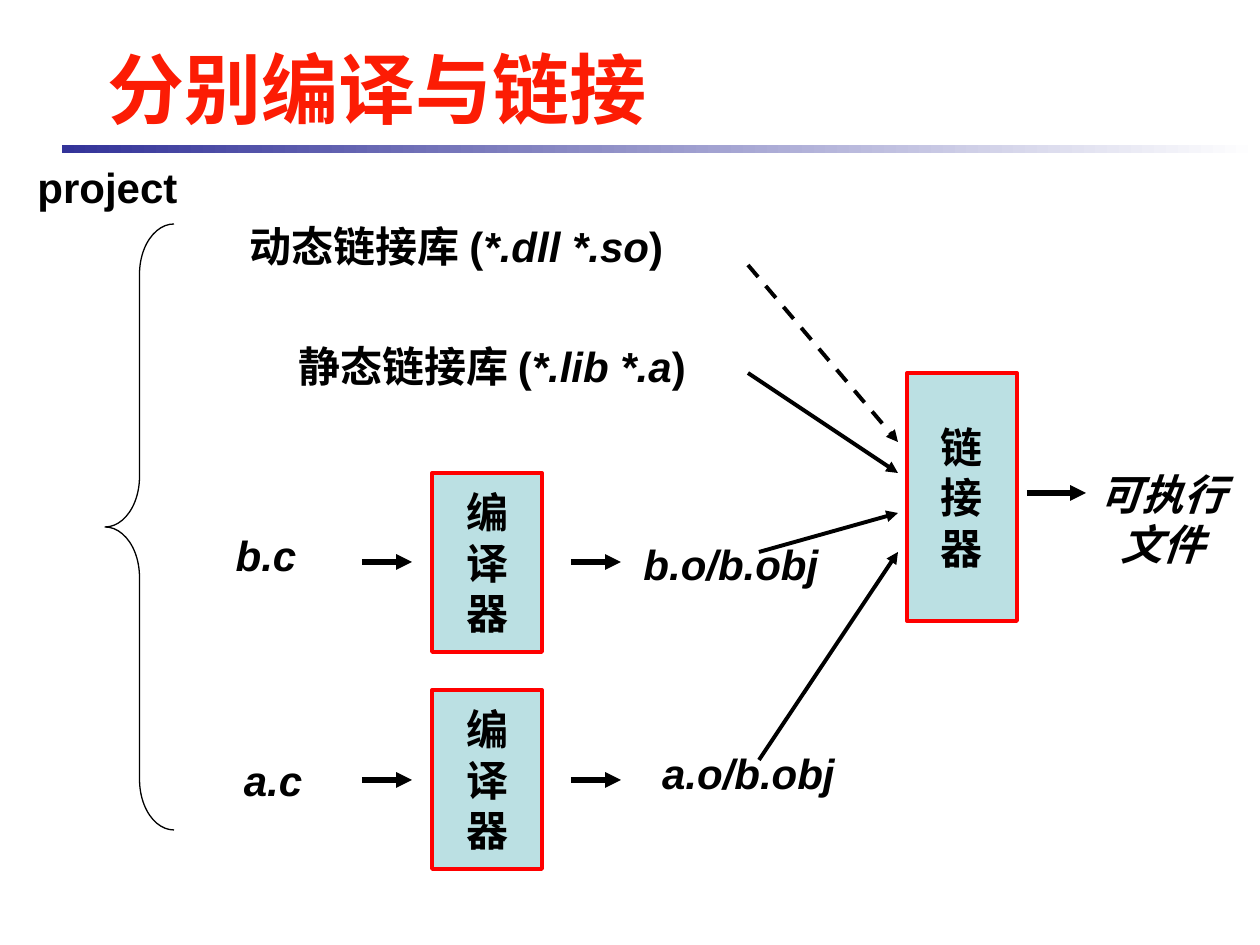
"""Build the slide on separate compilation and linking."""
from lxml.etree import SubElement
from pptx import Presentation
from pptx.dml.color import RGBColor
from pptx.enum.dml import MSO_LINE
from pptx.enum.shapes import MSO_CONNECTOR, MSO_SHAPE
from pptx.enum.text import MSO_ANCHOR, PP_ALIGN
from pptx.oxml.ns import qn
from pptx.util import Pt

PX = 914400 / 126
rgb = RGBColor.from_string


def px(*values):
    return [round(v * PX) for v in values]


def style(p, font, size=24, color="000000", align=PP_ALIGN.CENTER):
    p.alignment = align
    p.font.name = font
    p.font.size = Pt(size)
    p.font.bold = True
    p.font.color.rgb = rgb(color)


prs = Presentation()
prs.slide_width, prs.slide_height = px(1260, 945)
s = prs.slides.add_slide(prs.slide_layouts[5])

title = s.shapes.title
title.left, title.top, title.width, title.height = px(95, 35, 1071, 105)
tf = title.text_frame
tf.text = "分别编译与链接"
tf.vertical_anchor = MSO_ANCHOR.MIDDLE
style(tf.paragraphs[0], "Times New Roman", 44, "FC1C04", PP_ALIGN.LEFT)

bar = s.shapes.add_shape(MSO_SHAPE.RECTANGLE, *px(62, 145, 1198, 8))
bar.shadow.inherit = False
bar.line.fill.background()
bar.fill.gradient()
bar.fill.gradient_angle = 0
for stop, position, color in zip(bar.fill.gradient_stops, (0, 1), ("333399", "FFFFFF")):
    stop.position = position
    stop.color.rgb = rgb(color)

brace = s.shapes.add_shape(MSO_SHAPE.LEFT_BRACE, *px(105, 224, 69, 606))
brace.shadow.inherit = False
brace.adjustments[0] = 0.73
brace.fill.background()
brace.line.color.rgb = rgb("000000")
brace.line.width = Pt(0.75)

boxes = [
    ("编译器", 432, 473, 179),
    ("编译器", 432, 690, 179),
    ("链接器", 907, 373, 248),
]
for text, x, y, h in boxes:
    sp = s.shapes.add_shape(MSO_SHAPE.RECTANGLE, *px(x, y, 110, h))
    sp.shadow.inherit = False
    sp.fill.solid()
    sp.fill.fore_color.rgb = rgb("BBE0E3")
    sp.line.color.rgb = rgb("FF0000")
    sp.line.width = Pt(2.25)
    tf = sp.text_frame
    tf.word_wrap = False
    tf.vertical_anchor = MSO_ANCHOR.MIDDLE
    tf.text = "\n".join(text)
    for p in tf.paragraphs:
        style(p, "Times New Roman")

labels = [
    (25, 155, 165, 63, [[("project", False)]]),
    (232, 214, 449, 63, [[("动态链接库 (", False), ("*.dll *.so", True), (")", False)]]),
    (281, 334, 422, 63, [[("静态链接库 (", False), ("*.lib *.a", True), (")", False)]]),
    (223, 523, 86, 63, [[("b.c", True)]]),
    (231, 748, 84, 63, [[("a.c", True)]]),
    (631, 532, 200, 63, [[("b.o/b.obj", True)]]),
    (630, 741, 237, 63, [[("a.o/b.obj", True)]]),
    (1087, 462, 151, 113, [[("可执行", True)], [("文件", True)]]),
]
for x, y, w, h, lines in labels:
    tf = s.shapes.add_textbox(*px(x, y, w, h)).text_frame
    tf.word_wrap = False
    for i, runs in enumerate(lines):
        p = tf.add_paragraph() if i else tf.paragraphs[0]
        style(p, "Arial")
        for text, italic in runs:
            r = p.add_run()
            r.text = text
            r.font.italic = italic

arrows = [(x, y, x + 50, y, 3, None) for y in (562, 780) for x in (362, 571)]
arrows += [
    (748, 265, 898, 442, 2.25, MSO_LINE.DASH),
    (748, 373, 898, 473, 2.25, None),
    (759, 552, 898, 513, 2.25, None),
    (759, 760, 898, 552, 2.25, None),
    (1027, 493, 1086, 493, 3, None),
]
for x1, y1, x2, y2, width, dash in arrows:
    arrow = s.shapes.add_connector(MSO_CONNECTOR.STRAIGHT, *px(x1, y1, x2, y2))
    arrow.line.color.rgb = rgb("000000")
    arrow.line.width = Pt(width)
    if dash:
        arrow.line.dash_style = dash
    SubElement(arrow.line._get_or_add_ln(), qn("a:tailEnd"), type="triangle")
    SubElement(arrow._element.spPr, qn("a:effectLst"))

prs.save("out.pptx")
